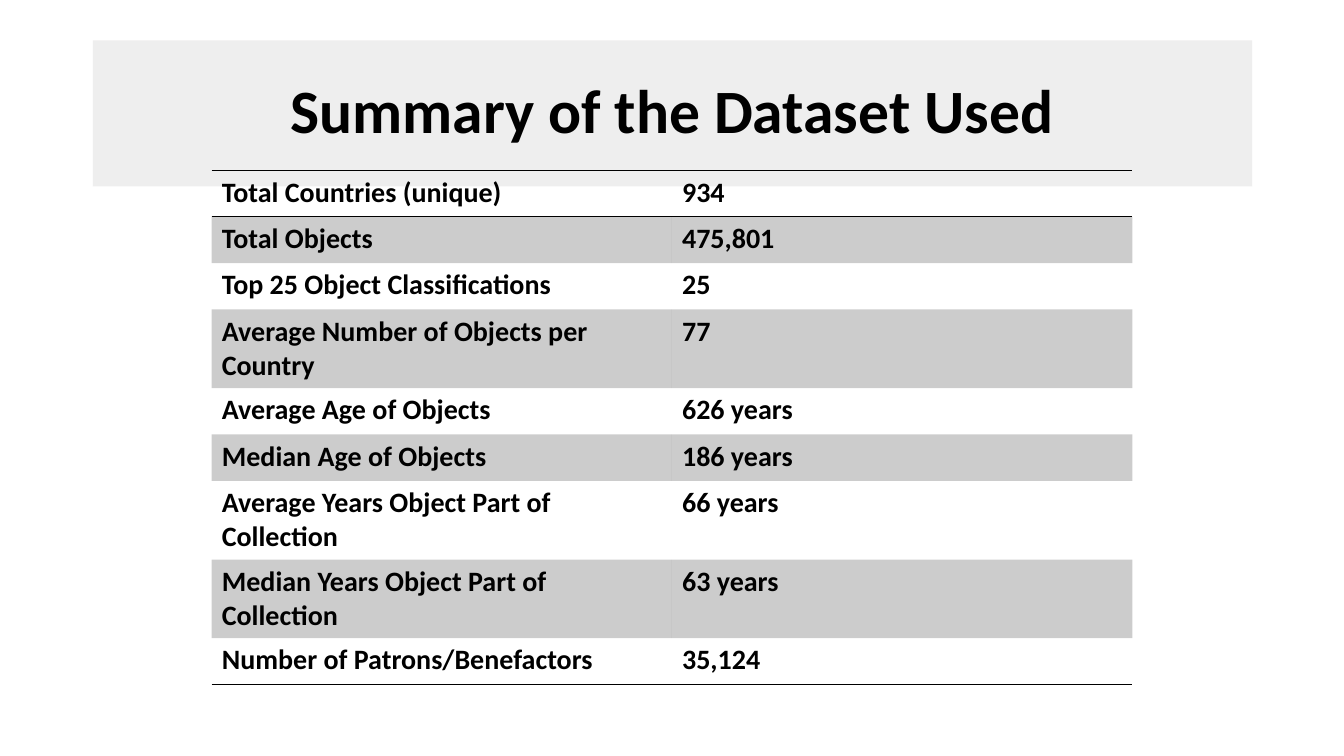
"""Build a slide that summarises a dataset in a two-column table."""
from dataclasses import dataclass

from lxml.etree import SubElement
from pptx import Presentation
from pptx.dml.color import RGBColor
from pptx.dml.fill import FillFormat
from pptx.enum.text import MSO_ANCHOR as Anchor, PP_ALIGN as Align
from pptx.oxml import parse_xml
from pptx.oxml.ns import nsdecls, qn
from pptx.slide import Slide
from pptx.table import _Cell as Cell
from pptx.text.text import _Paragraph as Paragraph
from pptx.util import Inches, Pt

BLACK = "000000"
TITLE_GREY = "E7E6E6"
PLAIN_TABLE_STYLE = "{2D5ABB26-0587-4C30-8999-92F81FD0307C}"


@dataclass(frozen=True)
class Statistic:
    """One table row: a label, its value and the row height in inches."""
    label: str
    value: str
    height: float = 0.46


STATISTICS = [
    Statistic("Total Countries (unique)", "934"),
    Statistic("Total Objects", "475,801"),
    Statistic("Top 25 Object Classifications", "25"),
    Statistic("Average Number of Objects per Country", "77", 0.73),
    Statistic("Average Age of Objects", "626 years"),
    Statistic("Median Age of Objects", "186 years"),
    Statistic("Average Years Object Part of Collection", "66 years", 0.73),
    Statistic("Median Years Object Part of Collection", "63 years", 0.73),
    Statistic("Number of Patrons/Benefactors", "35,124"),
]


def color(code: str) -> RGBColor:
    """Turn a hex string into a colour."""
    return RGBColor.from_string(code)


def tint(fill: FillFormat, properties, code: str, opacity: int) -> None:
    """Fill with a colour at the given opacity in percent."""
    fill.solid()
    fill.fore_color.rgb = color(code)
    swatch = properties.find(qn("a:solidFill")).find(qn("a:srgbClr"))
    SubElement(swatch, qn("a:alpha"), val=str(opacity * 1000))


def write(para: Paragraph, text: str, size: int) -> None:
    """Write one bold black span."""
    span = para.add_run()
    span.text = text
    look = {"name": "Calibri", "size": Pt(size), "bold": True}
    for name, value in look.items():
        setattr(span.font, name, value)
    span.font.color.rgb = color(BLACK)


def add_rules(cell: Cell, sides: str) -> None:
    """Draw thin lines on the given sides, T for top and B for bottom."""
    properties = cell._tc.get_or_add_tcPr()
    for position, side in enumerate(sides):
        properties.insert(position, parse_xml(
            f'<a:ln{side} {nsdecls("a")} w="12700"><a:solidFill>'
            f'<a:srgbClr val="{BLACK}"/></a:solidFill></a:ln{side}>'))


def add_title(page: Slide) -> None:
    """Place and format the title band."""
    title = page.shapes.title
    bounds = {"left": 0.92, "top": 0.4, "width": 11.5, "height": 1.45}
    for name, value in bounds.items():
        setattr(title, name, Inches(value))
    tint(title.fill, title._element.spPr, TITLE_GREY, 68)
    title.text_frame.vertical_anchor = Anchor.MIDDLE
    para = title.text_frame.paragraphs[0]
    para.alignment = Align.CENTER
    para.line_spacing = 0.9
    write(para, "Summary of the Dataset Used", 44)


def add_statistics(page: Slide) -> None:
    """Add the table with every second row shaded."""
    frame = page.shapes.add_table(
        len(STATISTICS), 2, Inches(2.1), Inches(1.69), Inches(9.13),
        Inches(sum(item.height for item in STATISTICS)))
    table = frame.table
    table.first_row = False
    table._tbl.tblPr.find(qn("a:tableStyleId")).text = PLAIN_TABLE_STYLE
    rules = {0: "TB", len(STATISTICS) - 1: "B"}
    for index, item in enumerate(STATISTICS):
        table.rows[index].height = Inches(item.height)
        for column, text in enumerate((item.label, item.value)):
            cell = table.cell(index, column)
            write(cell.text_frame.paragraphs[0], text, 20)
            if index % 2:
                tint(cell.fill, cell._tc.tcPr, BLACK, 20)
            else:
                cell.fill.background()
            add_rules(cell, rules.get(index, ""))


def main() -> None:
    """Create and save the deck."""
    deck = Presentation()
    deck.slide_width, deck.slide_height = Inches(13.33), Inches(7.5)
    page = deck.slides.add_slide(deck.slide_layouts[5])
    add_title(page)
    add_statistics(page)
    deck.save("out.pptx")


if __name__ == "__main__":
    main()
